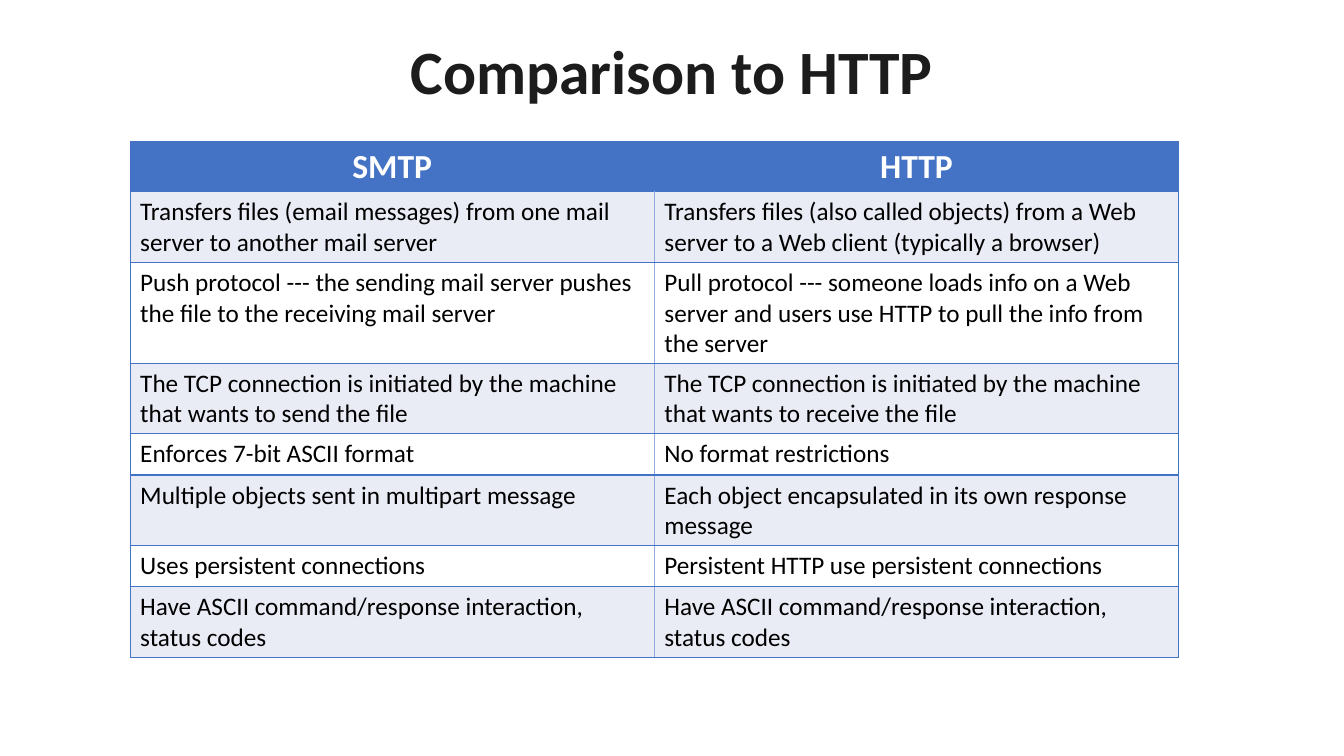
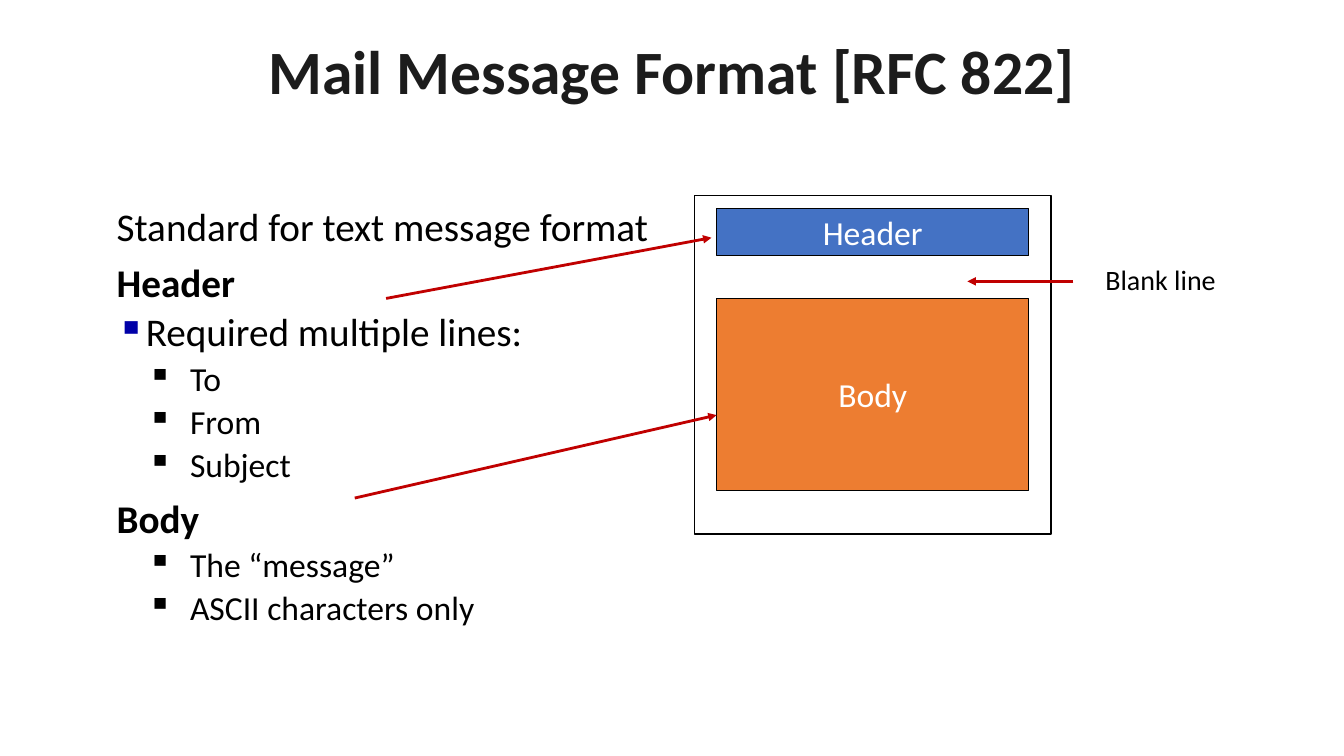
from dataclasses import dataclass

from lxml.etree import SubElement
from pptx import Presentation
from pptx.dml.color import RGBColor
from pptx.enum.shapes import MSO_CONNECTOR, MSO_SHAPE
from pptx.enum.text import MSO_ANCHOR, PP_ALIGN
from pptx.oxml.ns import qn
from pptx.util import Cm, Pt

# Shared style
FONT = "Calibri"
BLACK, WHITE, INK = "000000", "FFFFFF", "1C1C1C"
BLUE, PALE, RULE = "4472C4", "E9EBF5", "8FAADC"
ORANGE, RED, NAVY = "ED7D31", "C00000", "0000A8"


@dataclass(frozen=True)
class Box:
    left: float
    top: float
    width: float
    height: float

    def place(self) -> tuple:
        return Cm(self.left), Cm(self.top), Cm(self.width), Cm(self.height)


@dataclass(frozen=True)
class Font:
    size: float
    color: str = BLACK
    bold: bool = False


@dataclass(frozen=True)
class Block:
    box: Box
    text: str = ""
    fill: str = ""
    line: float = 0.75


@dataclass(frozen=True)
class Arrow:
    start: tuple
    end: tuple


@dataclass(frozen=True)
class Level:
    size: float
    before: float
    indent: float = 0
    hang: float = 0
    bullet: str = ""


@dataclass(frozen=True)
class Item:
    text: str
    level: Level
    bold: bool = False


# Drawing tools
def tint(code: str) -> RGBColor:
    return RGBColor.from_string(code)


def write(para, text: str, font: Font, align=PP_ALIGN.LEFT) -> None:
    para.alignment = align
    run = para.add_run()
    run.text = text
    run.font.name = FONT
    run.font.size = Pt(font.size)
    run.font.bold = font.bold
    run.font.color.rgb = tint(font.color)


def add_text(slide, box: Box):
    frame = slide.shapes.add_textbox(*box.place()).text_frame
    frame.word_wrap = True
    return frame


def add_title(slide, text: str) -> None:
    frame = add_text(slide, Box(0.94, 0.74, 32, 2.39))
    frame.vertical_anchor = MSO_ANCHOR.MIDDLE
    para = frame.paragraphs[0]
    para.line_spacing = 0.8
    write(para, text, Font(44, INK, True), PP_ALIGN.CENTER)


def add_block(slide, block: Block) -> None:
    shape = slide.shapes.add_shape(MSO_SHAPE.RECTANGLE, *block.box.place())
    shape.shadow.inherit = False
    shape.line.color.rgb = tint(BLACK)
    shape.line.width = Pt(block.line)
    if block.fill:
        shape.fill.solid()
        shape.fill.fore_color.rgb = tint(block.fill)
    else:
        shape.fill.background()
    if block.text:
        frame = shape.text_frame
        frame.word_wrap = False
        frame.vertical_anchor = MSO_ANCHOR.MIDDLE
        write(frame.paragraphs[0], block.text, Font(24, WHITE), PP_ALIGN.CENTER)


def add_arrow(slide, arrow: Arrow) -> None:
    ends = [Cm(n) for n in arrow.start + arrow.end]
    link = slide.shapes.add_connector(MSO_CONNECTOR.STRAIGHT, *ends)
    link.line.color.rgb = tint(RED)
    link.line.width = Pt(2)
    SubElement(link.line._get_or_add_ln(), qn("a:tailEnd"), type="triangle")
    SubElement(link._element.spPr, qn("a:effectLst"))


def add_item(para, item: Item) -> None:
    level = item.level
    para.line_spacing = 0.9
    para.space_before = Pt(level.before)
    write(para, item.text, Font(level.size, BLACK, item.bold), PP_ALIGN.JUSTIFY)
    if level.bullet:
        props = para._p.get_or_add_pPr()
        props.set("marL", str(Cm(level.indent)))
        props.set("indent", str(-Cm(level.hang)))
        color = SubElement(props, qn("a:buClr"))
        SubElement(color, qn("a:srgbClr"), val=level.bullet)
        SubElement(props, qn("a:buChar"), char="▪")


def add_edge(cell, side: str, color: str) -> None:
    line = SubElement(cell._tc.get_or_add_tcPr(), qn("a:ln" + side), w=str(Pt(1)))
    fill = SubElement(line, qn("a:solidFill"))
    SubElement(fill, qn("a:srgbClr"), val=color)


def add_grid(slide, box: Box, rows: list) -> None:
    table = slide.shapes.add_table(len(rows), len(rows[0]), *box.place()).table
    table.first_row = table.horz_banding = False
    last = len(rows[0]) - 1
    for r, row in enumerate(rows):
        head = r == 0
        font = Font(24, WHITE, True) if head else Font(18)
        align = PP_ALIGN.CENTER if head else PP_ALIGN.LEFT
        fill = BLUE if head else PALE if r % 2 else WHITE
        inner = BLUE if head else RULE
        for c, text in enumerate(row):
            cell = table.cell(r, c)
            write(cell.text_frame.paragraphs[0], text, font, align)
            # Borders come before the fill in the cell's XML
            add_edge(cell, "L", inner if c > 0 else BLUE)
            add_edge(cell, "R", inner if c < last else BLUE)
            add_edge(cell, "T", BLUE)
            add_edge(cell, "B", BLUE)
            cell.fill.solid()
            cell.fill.fore_color.rgb = tint(fill)


deck = Presentation()
deck.slide_width, deck.slide_height = Cm(33.87), Cm(19.05)
blank = deck.slide_layouts[6]

# Slide 1: protocol table
slide = deck.slides.add_slide(blank)
add_title(slide, "Comparison to HTTP")
STATUS = "Have ASCII command/response interaction, status codes"
ROWS = [
    ("SMTP", "HTTP"),
    ("Transfers files (email messages) from one mail server to another mail server",
     "Transfers files (also called objects) from a Web server to a Web client "
     "(typically a browser)"),
    ("Push protocol --- the sending mail server pushes the file to the receiving "
     "mail server",
     "Pull protocol --- someone loads info on a Web server and users use HTTP to "
     "pull the info from the server"),
    ("The TCP connection is initiated by the machine that wants to send the file",
     "The TCP connection is initiated by the machine that wants to receive the file"),
    ("Enforces 7-bit ASCII format", "No format restrictions"),
    ("Multiple objects sent in multipart message",
     "Each object encapsulated in its own response message"),
    ("Uses persistent connections", "Persistent HTTP use persistent connections"),
    (STATUS, STATUS),
]
add_grid(slide, Box(3.28, 3.56, 26.42, 1.04 * len(ROWS)), ROWS)

# Slide 2: message parts
slide = deck.slides.add_slide(blank)
FIRST = Level(28, 0)
MAIN = Level(28, 10)
POINT = Level(28, 5, 0.64, 0.64, NAVY)
SUB = Level(24, 5, 1.85, 1.07, BLACK)
ITEMS = [
    Item("Standard for text message format", FIRST),
    Item("Header", MAIN, True),
    Item("Required multiple lines:", POINT),
    Item("To", SUB),
    Item("From", SUB),
    Item("Subject", SUB),
    Item("Body", MAIN, True),
    Item("The “message”", SUB),
    Item("ASCII characters only", SUB),
]
frame = add_text(slide, Box(2.69, 5.1, 28.35, 13.2))
for n, item in enumerate(ITEMS):
    add_item(frame.add_paragraph() if n else frame.paragraphs[0], item)
add_title(slide, "Mail Message Format [RFC 822]")

# Message diagram
BLOCKS = [
    Block(Box(18.06, 5.26, 7.87, 1.19), "Header", BLUE),
    Block(Box(18.06, 7.52, 7.87, 4.83), "Body", ORANGE),
    Block(Box(17.5, 4.93, 8.99, 8.53), line=1),
]
for block in BLOCKS:
    add_block(slide, block)
label = add_text(slide, Box(27.18, 6.5, 4.14, 1.12))
write(label.paragraphs[0], "Blank line", Font(20), PP_ALIGN.CENTER)

# Arrows from text to parts
ARROWS = [
    Arrow((9.73, 7.52), (17.93, 5.99)),
    Arrow((8.94, 12.55), (18.06, 10.46)),
    Arrow((27.05, 7.09), (24.38, 7.09)),
]
for arrow in ARROWS:
    add_arrow(slide, arrow)

deck.save("out.pptx")
